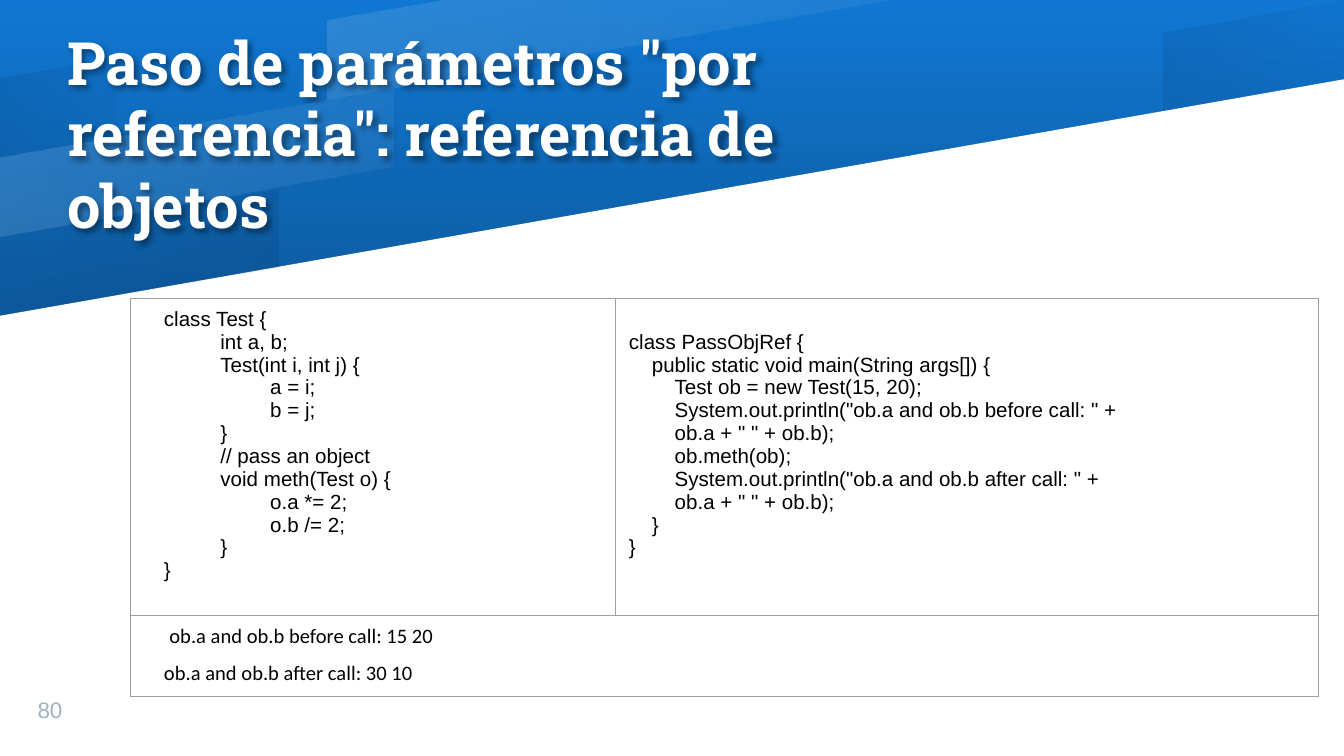
from lxml.etree import SubElement
from pptx import Presentation
from pptx.dml.color import RGBColor
from pptx.enum.text import MSO_ANCHOR
from pptx.oxml import parse_xml
from pptx.oxml.ns import nsdecls, qn
from pptx.util import Inches, Pt

THEME = {
    "sky": ("1077D2", "093153"),
    "white": "FFFFFF",
    "navy": "00001A",
    "black": "000000",
    "gray": "9EB3C2",
    "rule": "9E9E9E",
    "title": {"name": "Roboto Slab", "size": Pt(32), "bold": True},
    "page": {"name": "Arial", "size": Pt(12)},
    "code": {"name": "Arial", "size": Pt(11)},
    "result": {"name": "Calibri", "size": Pt(11)},
}

# Points, colour, and opacity in percent at the start and end
BANDS = [
    ([(3.32, 0), (2.44, 0.15), (2.44, 0.74), (6.65, 0)], "white", (12, 5)),
    ([(0, 0.58), (0, 1.17), (0.87, 1.02), (0.87, 0.43)], "navy", (8, 2)),
    ([(0, 1.76), (0, 2.35), (2.07, 1.99), (2.07, 1.4)], "navy", (2, 8)),
    ([(10, 0), (8.66, 0.24), (8.66, 0.82), (10, 0.59)], "navy", (8, 2)),
    ([(0, 1.17), (0, 1.76), (2.93, 1.24), (2.93, 0.66)], "white", (12, 5)),
]

# Each line is an indent level and its text
TEST = [
    (0, "class Test {"),
    (1, "int a, b;"),
    (1, "Test(int i, int j) {"),
    (2, "a = i;"),
    (2, "b = j;"),
    (1, "}"),
    (1, "// pass an object"),
    (1, "void meth(Test o) {"),
    (2, "o.a *= 2;"),
    (2, "o.b /= 2;"),
    (1, "}"),
    (0, "}"),
]
MAIN = [
    (0, "class PassObjRef {"),
    (1, "public static void main(String args[]) {"),
    (2, "Test ob = new Test(15, 20);"),
    (2, 'System.out.println("ob.a and ob.b before call: " +'),
    (2, 'ob.a + " " + ob.b);'),
    (2, "ob.meth(ob);"),
    (2, 'System.out.println("ob.a and ob.b after call: " +'),
    (2, 'ob.a + " " + ob.b);'),
    (1, "}"),
    (0, "}"),
]
RESULT = [
    (1, "ob.a and ob.b before call: 15 20"),
    (0, "ob.a and ob.b after call: 30 10"),
]


def apply(item, values):
    for name, value in values.items():
        setattr(item, name, value)


def color(name):
    return RGBColor.from_string(THEME.get(name, name))


class Page:
    def __init__(self, slide, theme):
        self.slide, self.theme = slide, theme

    def blend(self, fill, pair, angle, alphas=()):
        """Fill with a two-colour gradient, angle counted clockwise."""
        fill.gradient()
        fill.gradient_angle = 360 - angle
        for stop, name in zip(fill.gradient_stops, pair):
            stop.color.rgb = color(name)
        for node, alpha in zip(fill._xPr.iter(qn("a:srgbClr")), alphas):
            SubElement(node, qn("a:alpha")).set("val", str(alpha * 1000))

    def shape(self, points):
        spots = [(Inches(x), Inches(y)) for x, y in points]
        pen = self.slide.shapes.build_freeform(*spots[0])
        pen.add_line_segments(spots[1:], close=True)
        form = pen.convert_to_shape()
        form.shadow.inherit = False
        form.line.fill.background()
        return form

    def line(self, para, text, style, tint):
        run = para.add_run()
        run.text = text
        apply(run.font, self.theme[style])
        run.font.color.rgb = color(tint)

    def text(self, box, text, style, tint, anchor):
        label = self.slide.shapes.add_textbox(*map(Inches, box))
        frame = label.text_frame
        sides = ("left", "top", "right", "bottom")
        apply(frame, {f"margin_{side}": 0 for side in sides})
        apply(frame, {"word_wrap": True, "vertical_anchor": anchor})
        self.line(frame.paragraphs[0], text, style, tint)
        return label

    def shade(self, label):
        """Put a soft shadow behind the letters."""
        label._element.spPr.append(parse_xml(
            f'<a:effectLst {nsdecls("a")}><a:outerShdw blurRad="38100" '
            'dist="28575" dir="2700000" algn="tl"><a:srgbClr val="000000">'
            '<a:alpha val="40000"/></a:srgbClr></a:outerShdw></a:effectLst>'))

    def table(self, left, top, cols, rows):
        frame = self.slide.shapes.add_table(
            len(rows), len(cols), Inches(left), Inches(top),
            Inches(sum(cols)), Inches(sum(rows)))
        grid = frame.table
        apply(grid, {"first_row": False, "horz_banding": False})
        for col, width in zip(grid.columns, cols):
            col.width = Inches(width)
        for row, height in zip(grid.rows, rows):
            row.height = Inches(height)
        for cell in grid.iter_cells():
            self.border(cell)
            cell.fill.background()
        return grid

    def border(self, cell):
        for side in ("lnL", "lnR", "lnT", "lnB"):
            cell._tc.get_or_add_tcPr().append(parse_xml(
                f'<a:{side} {nsdecls("a")} w="9525"><a:solidFill>'
                f'<a:srgbClr val="{self.theme["rule"]}"/>'
                f'</a:solidFill></a:{side}>'))

    def cell(self, cell, lines, style, steps, top=0.07, form=None):
        apply(cell, {"margin_left": Inches(0.1), "margin_right": Inches(0.1),
                     "margin_top": Inches(top), "margin_bottom": Inches(0.07)})
        frame = cell.text_frame
        for i, (level, text) in enumerate(lines):
            para = frame.add_paragraph() if i else frame.paragraphs[0]
            props = para._p.get_or_add_pPr()
            props.set("marL", str(Inches(steps[level])))
            apply(para, form or {})
            self.line(para, text, style, "black")


def main():
    deck = Presentation()
    wide = Inches(10)
    apply(deck, {"slide_width": wide, "slide_height": wide * 9 // 16})
    slide = deck.slides.add_slide(deck.slide_layouts[6])
    page = Page(slide, THEME)

    page.blend(slide.background.fill, THEME["sky"], 90)
    base = page.shape([(0, 5.63), (10, 5.63), (10, 0.59), (0, 2.35)])
    base.fill.solid()
    base.fill.fore_color.rgb = color("white")
    for points, tint, alphas in BANDS:
        band = page.shape(points)
        page.blend(band.fill, (tint, tint), 10, alphas)

    title = page.text(
        (0.5, 0, 6, 1.98),
        'Paso de parámetros "por referencia": referencia de objetos',
        "title", "white", MSO_ANCHOR.MIDDLE)
    page.shade(title)
    page.text((0.28, 5.11, 0.53, 0.27), "80", "page", "gray", MSO_ANCHOR.BOTTOM)

    grid = page.table(0.97, 2.22, (3.61, 5.23), (2.36, 0.6))
    grid.cell(1, 0).merge(grid.cell(1, 1))
    page.cell(grid.cell(0, 0), TEST, "code", (0.15, 0.57, 0.94))
    page.cell(grid.cell(0, 1), MAIN, "code", (0, 0.17, 0.34), top=0.24)
    page.cell(grid.cell(1, 0), RESULT, "result", (0.15, 0.19),
              form={"line_spacing": 0.9, "space_before": Pt(8)})
    deck.save("out.pptx")


if __name__ == "__main__":
    main()
